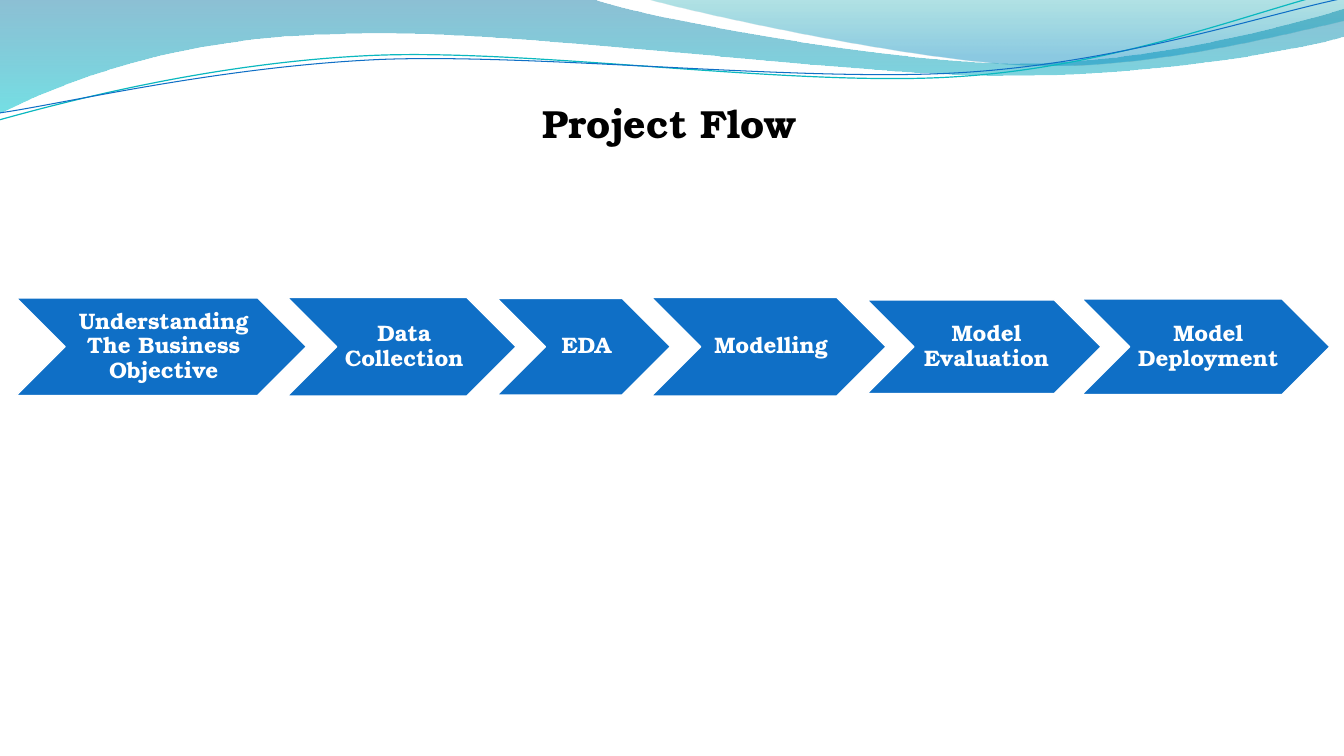
from lxml.etree import SubElement
from pptx import Presentation
from pptx.dml.color import RGBColor
from pptx.enum.shapes import MSO_SHAPE as Shape
from pptx.enum.text import MSO_ANCHOR as Anchor, PP_ALIGN as Align
from pptx.oxml.ns import qn
from pptx.util import Inches, Pt

# The slide is a grid whose columns and rows are one inch each
COLUMNS, ROWS = 13.33, 7.5
CELL = Inches(1)

FONT = "TeX Gyre Bonum"
BLACK = RGBColor(0x00, 0x00, 0x00)
WHITE = RGBColor(0xFF, 0xFF, 0xFF)
BLUE = RGBColor(0x0F, 0x6F, 0xC6)
TEAL = RGBColor(0x0A, 0xB8, 0xBF)
WAVE_TOP, WAVE_BOTTOM = RGBColor(0x00, 0x74, 0xA1), RGBColor(0x00, 0xC6, 0xCF)
CREST_TOP, CREST_BOTTOM = RGBColor(0x00, 0xA1, 0xA9), RGBColor(0x00, 0x8B, 0xBF)

# Outlines: a start point, then line ends (2 numbers) or cubic curves (6 numbers)
WAVE = [(0, 0), (5.87, -0.01),
        (6.34, 0.17, 8.85, 0.63, 10.11, 0.63),
        (11.38, 0.63, 12.78, 0.26, 13.33, 0.09), (13.35, 0.36),
        (13.11, 0.44, 11.6, 0.76, 9.94, 0.75),
        (8.29, 0.75, 5.09, 0.28, 3.43, 0.34),
        (1.72, 0.36, 0.61, 0.83, -0.01, 1.13)]
CREST = [(6.39, -0.01),
         (6.79, 0.11, 9.09, 0.62, 10.25, 0.65),
         (11.41, 0.69, 12.82, 0.32, 13.33, 0.21), (13.33, 0)]
TEAL_RIPPLE = [(-0.01, 1.19),
               (0.64, 1.01, 2.11, 0.62, 3.69, 0.55),
               (5.27, 0.48, 7.9, 0.87, 9.5, 0.76),
               (11.1, 0.66, 12.52, 0.08, 13.31, -0.1)]
BLUE_RIPPLE = [(0, 1.12),
               (0.63, 1.03, 2.18, 0.66, 3.78, 0.59),
               (5.37, 0.53, 7.96, 0.82, 9.55, 0.72),
               (11.15, 0.62, 12.55, 0.14, 13.34, -0.02)]

# Project steps: label, width, height
STEPS = [("Understanding The Business Objective", 2.88, 0.97),
         ("Data Collection", 2.27, 0.98),
         ("EDA", 1.72, 0.96),
         ("Modelling", 2.33, 0.98),
         ("Model Evaluation", 2.32, 0.93),
         ("Model Deployment", 2.46, 0.95)]
FLOW_LEFT, FLOW_MIDDLE, OVERLAP = 0.16, 3.44, 0.19


def grid(*lengths):
    return [round(length * CELL) for length in lengths]


def bend(shape, segments):
    """Merge the three straight pieces of each cubic segment into one curve."""
    pieces = iter(list(shape.element.iter(qn("a:lnTo"))))
    for segment in segments:
        piece = next(pieces)
        if len(segment) == 2:
            continue
        curve = piece.makeelement(qn("a:cubicBezTo"))
        piece.addprevious(curve)
        for corner in (piece, next(pieces), next(pieces)):
            curve.append(corner[0])
            corner.getparent().remove(corner)


def add_outline(slide, outline, close):
    start, *segments = outline
    corners = [tuple(grid(*segment[i:i + 2]))
               for segment in segments for i in range(0, len(segment), 2)]
    builder = slide.shapes.build_freeform(*grid(*start), scale=1.0)
    builder.add_line_segments(corners, close=close)
    shape = builder.convert_to_shape()
    shape.shadow.inherit = False
    bend(shape, segments)
    return shape


def add_wave(slide, outline, stops):
    """Draw a gradient area; each stop is position, colour, opacity in percent."""
    wave = add_outline(slide, outline, close=True)
    wave.line.fill.background()
    wave.fill.gradient()
    wave.fill.gradient_angle = 270
    for stop, (position, color, _) in zip(wave.fill.gradient_stops, stops):
        stop.position = position
        stop.color.rgb = color
    colors = wave.element.spPr.iter(qn("a:srgbClr"))
    for color, (_, _, opacity) in zip(colors, stops):
        SubElement(color, qn("a:alpha")).set("val", str(opacity * 1000))


def add_ripple(slide, outline, color, width):
    ripple = add_outline(slide, outline, close=False)
    ripple.fill.background()
    ripple.line.color.rgb = color
    ripple.line.width = Pt(width)


def write(frame, text, size, color):
    frame.word_wrap = True
    frame.text = text
    paragraph = frame.paragraphs[0]
    paragraph.alignment = Align.CENTER
    font = paragraph.runs[0].font
    font.name, font.size, font.bold = FONT, Pt(size), True
    font.color.rgb = color
    return paragraph


def add_step(slide, left, label, width, height):
    step = slide.shapes.add_shape(
        Shape.CHEVRON, *grid(left, FLOW_MIDDLE - height / 2, width, height))
    step.shadow.inherit = False
    step.fill.solid()
    step.fill.fore_color.rgb = BLUE
    step.line.color.rgb = WHITE
    step.line.width = Pt(1)
    frame = step.text_frame
    frame.vertical_anchor = Anchor.MIDDLE
    frame.margin_left = Inches(0.07)
    frame.margin_top = frame.margin_right = frame.margin_bottom = Inches(0.02)
    write(frame, label, 16, WHITE).line_spacing = 0.9


def main():
    deck = Presentation()
    deck.slide_width, deck.slide_height = grid(COLUMNS, ROWS)
    slide = deck.slides.add_slide(deck.slide_layouts[6])

    # Waves along the top edge
    add_wave(slide, WAVE, [(0, WAVE_TOP, 45), (1, WAVE_BOTTOM, 55)])
    add_wave(slide, CREST, [(0, CREST_TOP, 30), (0.8, CREST_BOTTOM, 45)])
    add_ripple(slide, TEAL_RIPPLE, TEAL, 0.85)
    add_ripple(slide, BLUE_RIPPLE, BLUE, 0.75)

    # Title
    title = slide.shapes.add_textbox(*grid(0.26, 0.94, 12.75, 1.04))
    write(title.text_frame, "Project Flow", 28, BLACK)

    # Chain of steps, each tucked into the notch of the one before
    left = FLOW_LEFT
    for label, width, height in STEPS:
        add_step(slide, left, label, width, height)
        left += width - OVERLAP

    deck.save("out.pptx")


main()
